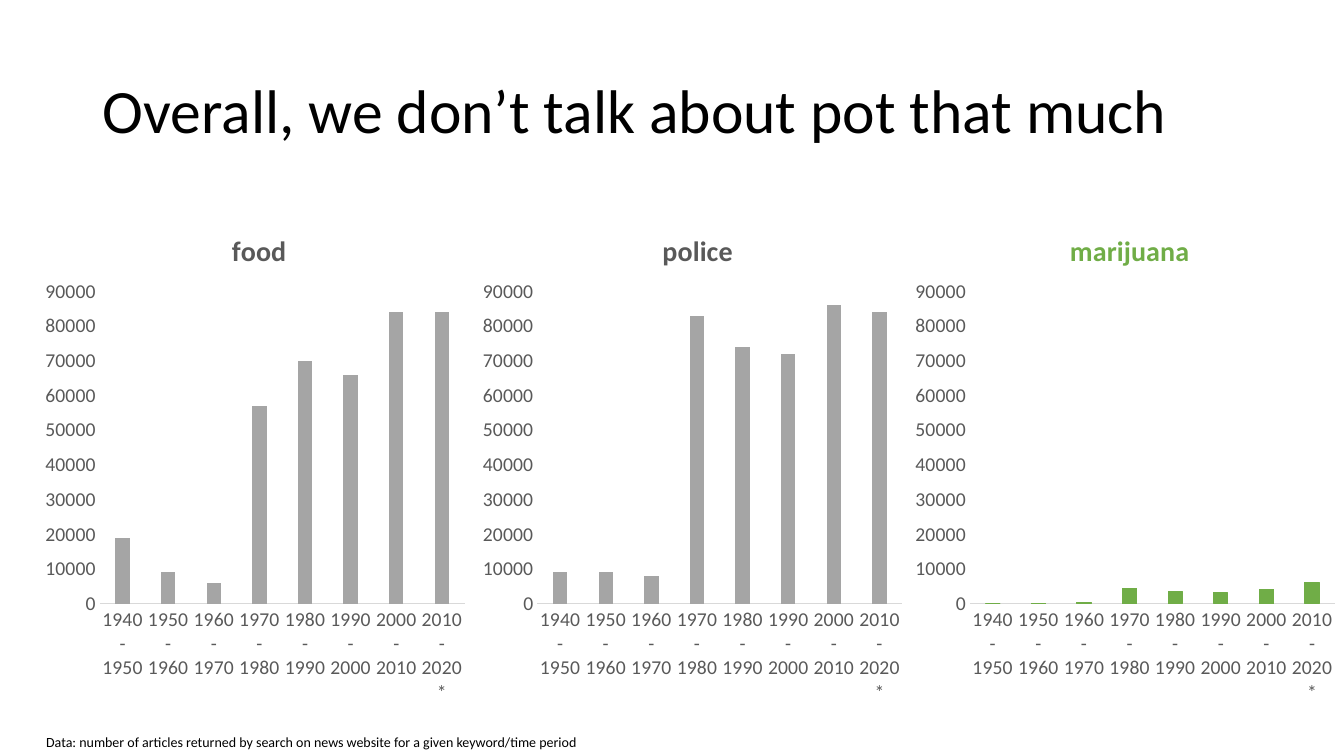
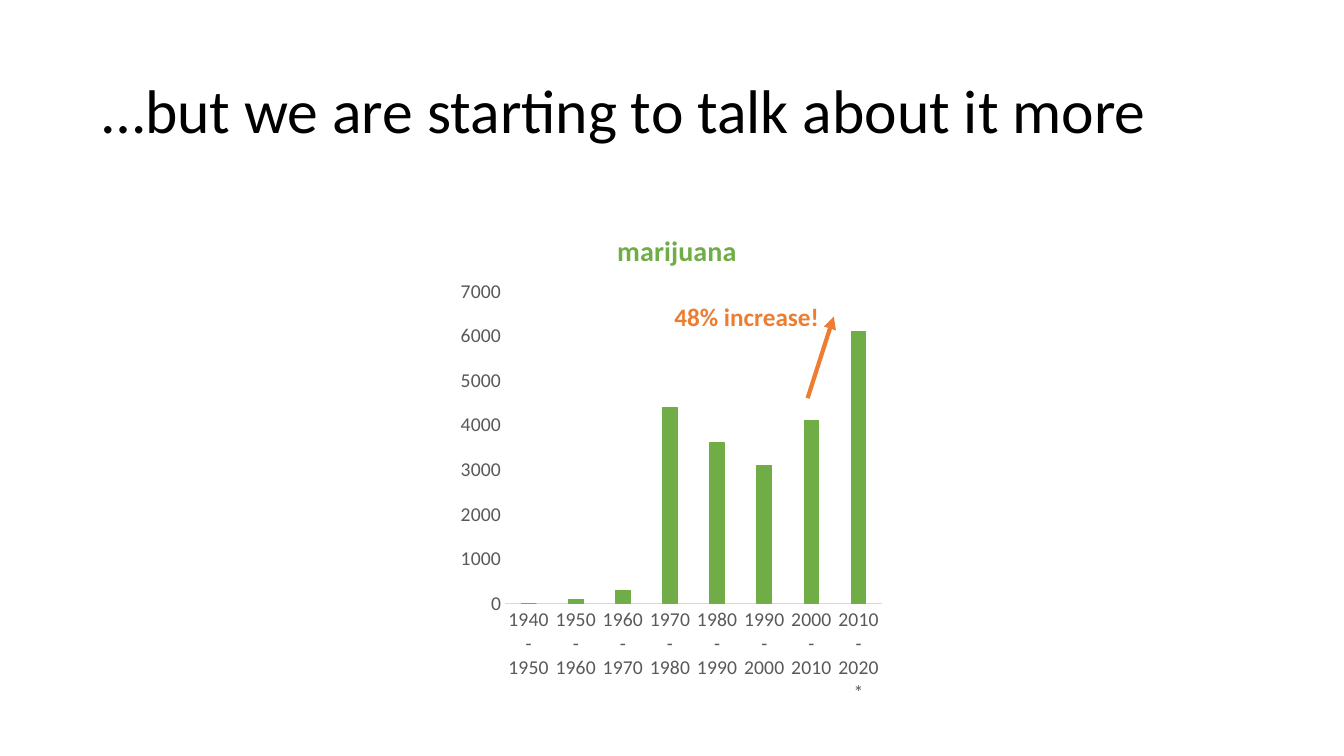
"""Build two slides comparing how often news articles mention food, police and marijuana."""
from lxml.etree import SubElement
from pptx import Presentation
from pptx.chart.data import CategoryChartData
from pptx.dml.color import RGBColor
from pptx.enum.chart import XL_CHART_TYPE, XL_TICK_MARK
from pptx.enum.shapes import MSO_CONNECTOR
from pptx.enum.text import MSO_ANCHOR
from pptx.oxml.ns import qn
from pptx.util import Inches, Pt

BLACK = RGBColor(0x00, 0x00, 0x00)
DARK_GRAY = RGBColor(0x59, 0x59, 0x59)
BAR_GRAY = RGBColor(0xA5, 0xA5, 0xA5)
AXIS_GRAY = RGBColor(0xD9, 0xD9, 0xD9)
GREEN = RGBColor(0x70, 0xAD, 0x47)
ORANGE = RGBColor(0xED, 0x7D, 0x31)

FONT = "Calibri"
TITLE_FORMAT = {"name": FONT, "size": Pt(44), "color": BLACK}
NOTE_FORMAT = {"name": FONT, "size": Pt(10), "color": BLACK}
CALLOUT_FORMAT = {"name": FONT, "size": Pt(18), "bold": True, "color": ORANGE}
AXIS_FORMAT = {"name": FONT, "size": Pt(14), "color": DARK_GRAY}
CHART_TITLE_FORMAT = {"name": FONT, "size": Pt(20), "bold": True}

DECADES = [f"{year}-{year + 10}" for year in range(1940, 2010, 10)] + ["2010-2020*"]
FOOD = [19000, 9000, 6000, 57000, 70000, 66000, 84000, 84000]
POLICE = [9000, 9000, 8000, 83000, 74000, 72000, 86000, 84000]
MARIJUANA = [0, 100, 300, 4400, 3600, 3100, 4100, 6100]

CHART_TOP, CHART_WIDTH, CHART_HEIGHT = 2, 4.34, 5.1
PLOT_TOP, PLOT_RIGHT, PLOT_HEIGHT = 0.89, 4.25, 3.1
CHART_TITLE_TOP = 0.24


def format_font(font, values):
    for name, value in values.items():
        if name == "color":
            font.color.rgb = value
        else:
            setattr(font, name, value)


def add_text(slide, text, left, top, width, height, values):
    frame = slide.shapes.add_textbox(
        Inches(left), Inches(top), Inches(width), Inches(height)).text_frame
    frame.word_wrap = True
    paragraph = frame.paragraphs[0]
    run = paragraph.add_run()
    run.text = text
    format_font(run.font, values)
    return frame


def add_titled_slide(presentation, title):
    slide = presentation.slides.add_slide(presentation.slide_layouts[6])
    frame = add_text(slide, title, 0.92, 0.4, 11.5, 1.45, TITLE_FORMAT)
    frame.vertical_anchor = MSO_ANCHOR.MIDDLE
    frame.paragraphs[0].line_spacing = 0.9
    return slide


def place_in_chart(element, position, settings):
    for old_layout in element.findall(qn("c:layout")):
        element.remove(old_layout)
    layout = element.makeelement(qn("c:layout"), {})
    element.insert(position, layout)
    manual = SubElement(layout, qn("c:manualLayout"))
    for name, value in settings.items():
        SubElement(manual, qn(f"c:{name}")).set("val", str(value))


def format_axes(chart, maximum, unit):
    category_axis, value_axis = chart.category_axis, chart.value_axis
    for axis in (category_axis, value_axis):
        axis.has_major_gridlines = False
        axis.major_tick_mark = axis.minor_tick_mark = XL_TICK_MARK.NONE
        format_font(axis.tick_labels.font, AXIS_FORMAT)
    for axis_element in chart.element.iter(qn("c:catAx"), qn("c:valAx")):
        body = axis_element.find(qn("c:txPr")).find(qn("a:bodyPr"))
        body.set("rot", "-60000000")
        body.set("vert", "horz")
    category_axis.format.line.color.rgb = AXIS_GRAY
    category_axis.format.line.width = Pt(0.75)
    value_axis.format.line.fill.background()
    scale = {"minimum_scale": 0, "maximum_scale": maximum, "major_unit": unit}
    for name, value in scale.items():
        setattr(value_axis, name, value)


def add_keyword_chart(slide, keyword, values, left, title_left, color=BAR_GRAY,
                      title_color=DARK_GRAY, maximum=90000, unit=10000, plot_left=0.63):
    data = CategoryChartData()
    data.categories = DECADES
    data.add_series(keyword, values)
    chart = slide.shapes.add_chart(
        XL_CHART_TYPE.COLUMN_CLUSTERED, Inches(left), Inches(CHART_TOP),
        Inches(CHART_WIDTH), Inches(CHART_HEIGHT), data).chart
    format_font(chart.font, NOTE_FORMAT)
    chart.has_legend = False
    chart.has_title = True
    run = chart.chart_title.text_frame.paragraphs[0].add_run()
    run.text = keyword
    format_font(run.font, CHART_TITLE_FORMAT | {"color": title_color})
    format_axes(chart, maximum, unit)

    plot = chart.plots[0]
    for name, value in {"gap_width": 219, "overlap": -27, "vary_by_categories": False}.items():
        setattr(plot, name, value)
    series = plot.series[0]
    series.format.fill.solid()
    series.format.fill.fore_color.rgb = color
    if color == GREEN:
        series.format.line.color.rgb = color
        series.format.line.width = Pt(0.75)

    chart_element = chart.element.find(qn("c:chart"))
    place_in_chart(chart_element.find(qn("c:title")), 1, {
        "xMode": "edge", "yMode": "edge",
        "x": title_left / CHART_WIDTH, "y": CHART_TITLE_TOP / CHART_HEIGHT})
    place_in_chart(chart_element.find(qn("c:plotArea")), 0, {
        "layoutTarget": "inner", "xMode": "edge", "yMode": "edge",
        "x": plot_left / CHART_WIDTH, "y": PLOT_TOP / CHART_HEIGHT,
        "w": (PLOT_RIGHT - plot_left) / CHART_WIDTH, "h": PLOT_HEIGHT / CHART_HEIGHT})


def add_arrow(slide, start_x, start_y, end_x, end_y):
    arrow = slide.shapes.add_connector(
        MSO_CONNECTOR.STRAIGHT, Inches(start_x), Inches(start_y), Inches(end_x), Inches(end_y))
    arrow.line.color.rgb = ORANGE
    arrow.line.width = Pt(3)
    properties = arrow.element.spPr
    SubElement(properties.find(qn("a:ln")), qn("a:tailEnd")).set("type", "triangle")
    SubElement(properties, qn("a:effectLst"))


def add_comparison_slide(presentation):
    slide = add_titled_slide(presentation, "Overall, we don’t talk about pot that much")
    add_keyword_chart(slide, "food", FOOD, 0.36, 1.89)
    add_keyword_chart(slide, "police", POLICE, 4.7, 1.82)
    add_keyword_chart(slide, "marijuana", MARIJUANA, 8.99, 1.57, GREEN, GREEN)
    add_text(slide, "Data: number of articles returned by search on news website "
             "for a given keyword/time period", 0.36, 7.23, 6.3, 0.27, NOTE_FORMAT)


def add_increase_slide(presentation):
    slide = add_titled_slide(presentation, "…but we are starting to talk about it more")
    add_keyword_chart(slide, "marijuana", MARIJUANA, 4.5, 1.57, GREEN, GREEN,
                      maximum=7000, unit=1000, plot_left=0.51)
    add_arrow(slide, 8.01, 3.95, 8.27, 3.14)
    add_text(slide, "48% increase!", 6.59, 2.94, 1.68, 0.4, CALLOUT_FORMAT)


def main():
    presentation = Presentation()
    presentation.slide_width = Inches(13.33)
    presentation.slide_height = Inches(7.5)
    add_comparison_slide(presentation)
    add_increase_slide(presentation)
    presentation.save("out.pptx")


if __name__ == "__main__":
    main()
